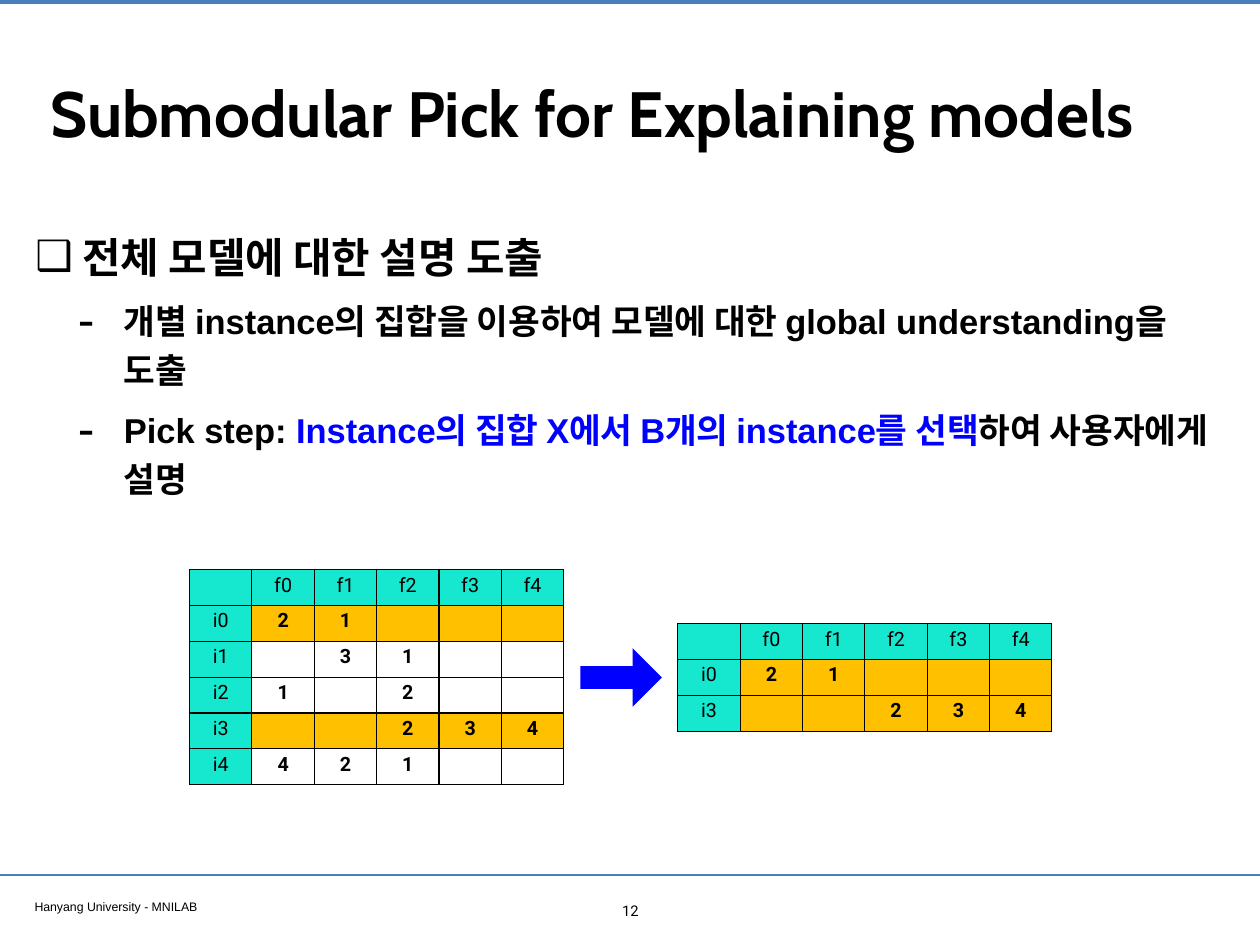
from dataclasses import dataclass

from lxml.etree import SubElement
from pptx import Presentation
from pptx.dml.color import RGBColor
from pptx.enum.shapes import MSO_CONNECTOR as Connector, MSO_SHAPE as Shape
from pptx.enum.text import MSO_ANCHOR as Anchor, MSO_AUTO_SIZE as AutoSize, PP_ALIGN as Align
from pptx.oxml.ns import qn
from pptx.util import Emu, Inches, Pt

WIDTH, HEIGHT = Inches(14.22), Inches(10.67)
COLUMN, ROW = 4.95, 3.8
BLACK, WHITE, BLUE, RULE = "000000", "FFFFFF", "0000FF", "4A7EBB"
HEADER, PICKED = "16E7CF", "FFC000"
FEATURES = ["f0", "f1", "f2", "f3", "f4"]
INSTANCES = {
    "i0": ["2", "1", "", "", ""],
    "i1": ["", "3", "1", "", ""],
    "i2": ["1", "", "2", "", ""],
    "i3": ["", "", "2", "3", "4"],
    "i4": ["4", "2", "1", "", ""],
}
PICKS = ["i0", "i3"]


@dataclass
class Area:
    """Percentages of the slide's width and height."""
    left: float
    top: float
    width: float
    height: float

    def box(self) -> tuple:
        return across(self.left), down(self.top), across(self.width), down(self.height)


@dataclass
class Point:
    phrases: list
    size: int
    indent: float
    hanging: float
    bullet: str
    bullet_scale: int = 100
    before: int = 8


@dataclass
class Matrix:
    left: float
    top: float
    instances: list


@dataclass
class Rule:
    top: float
    weight: float


POINTS = [
    Point([("전체 모델에 대한 설명 도출", BLACK)], 34, 0.53, 0.53, "❑", before=0),
    Point([("개별 instance의 집합을 이용하여 모델에 대한 global understanding을 도출", BLACK)],
          28, 1, 0.52, "-", 145),
    Point([("Pick step: ", BLACK),
           ("Instance의 집합 X에서 B개의 instance를 선택", BLUE),
           ("하여 사용자에게 설명", BLACK)], 28, 1, 0.52, "-", 145),
]
MATRICES = [Matrix(15.05, 60.26, list(INSTANCES)), Matrix(53.8, 65.98, PICKS)]
RULES = [Rule(0.19, 3.2), Rule(92.6, 2)]


def across(percent: float) -> Emu:
    return Emu(round(WIDTH * percent / 100))


def down(percent: float) -> Emu:
    return Emu(round(HEIGHT * percent / 100))


def color(value: str) -> RGBColor:
    return RGBColor.from_string(value)


def style(paragraph, size: float, face: str, bold: bool = False, align=Align.LEFT) -> None:
    paragraph.alignment = align
    font = paragraph.font
    font.size, font.name, font.bold = Pt(size), face, bold
    font.color.rgb = color(BLACK)


def prepare(frame) -> None:
    frame.word_wrap = True
    frame.auto_size = AutoSize.NONE
    frame.margin_left = frame.margin_right = Inches(0.06)
    frame.margin_top = frame.margin_bottom = Inches(0.06)


def add_title(slide, text: str, area: Area) -> None:
    title = slide.shapes.title
    title.left, title.top, title.width, title.height = area.box()
    frame = title.text_frame
    prepare(frame)
    frame.vertical_anchor = Anchor.MIDDLE
    frame.text = text
    style(frame.paragraphs[0], 52, "Cabin", True)


def add_label(slide, text: str, area: Area, size: float, face: str, align=Align.LEFT) -> None:
    frame = slide.shapes.add_textbox(*area.box()).text_frame
    prepare(frame)
    frame.text = text
    style(frame.paragraphs[0], size, face, align=align)


def add_points(slide, points: list, area: Area) -> None:
    frame = slide.shapes.add_textbox(*area.box()).text_frame
    prepare(frame)
    for index, point in enumerate(points):
        paragraph = frame.add_paragraph() if index else frame.paragraphs[0]
        paragraph.level = min(index, 1)
        paragraph.line_spacing = 1.2
        paragraph.space_before = Pt(point.before)
        properties = paragraph._p.get_or_add_pPr()
        properties.set("marL", str(Inches(point.indent)))
        properties.set("indent", str(-Inches(point.hanging)))
        SubElement(properties, qn("a:buSzPct"), val=str(point.bullet_scale * 1000))
        SubElement(properties, qn("a:buFont"), typeface="Arial")
        SubElement(properties, qn("a:buChar"), char=point.bullet)
        style(paragraph, point.size, "Arial", True)
        for text, shade in point.phrases:
            run = paragraph.add_run()
            run.text = text
            run.font.color.rgb = color(shade)


def add_borders(cell) -> None:
    properties = cell._tc.get_or_add_tcPr()
    for side in ("lnL", "lnR", "lnT", "lnB"):
        border = SubElement(properties, qn(f"a:{side}"), w=str(Pt(1)))
        fill = SubElement(border, qn("a:solidFill"))
        SubElement(fill, qn("a:srgbClr"), val=BLACK)


def add_matrix(slide, matrix: Matrix) -> None:
    rows = [["", *FEATURES]] + [[name, *INSTANCES[name]] for name in matrix.instances]
    columns = len(rows[0])
    area = Area(matrix.left, matrix.top, COLUMN * columns, ROW * len(rows))
    table = slide.shapes.add_table(len(rows), columns, *area.box()).table
    for r, values in enumerate(rows):
        for c, value in enumerate(values):
            cell = table.cell(r, c)
            heading = r == 0 or c == 0
            plain = PICKED if values[0] in PICKS else WHITE
            add_borders(cell)
            cell.fill.solid()
            cell.fill.fore_color.rgb = color(HEADER if heading else plain)
            cell.text = value
            style(cell.text_frame.paragraphs[0], 16, "Roboto", not heading, Align.CENTER)


def add_rule(slide, rule: Rule) -> None:
    line = slide.shapes.add_connector(
        Connector.STRAIGHT, 0, down(rule.top), WIDTH, down(rule.top))
    line.line.color.rgb = color(RULE)
    line.line.width = Pt(rule.weight)
    SubElement(line._element.spPr, qn("a:effectLst"))


def add_arrow(slide, area: Area) -> None:
    arrow = slide.shapes.add_shape(Shape.RIGHT_ARROW, *area.box())
    arrow.shadow.inherit = False
    arrow.adjustments[0], arrow.adjustments[1] = 0.39, 0.5
    arrow.fill.solid()
    arrow.fill.fore_color.rgb = color(BLUE)
    arrow.line.fill.background()


def main() -> None:
    deck = Presentation()
    deck.slide_width, deck.slide_height = WIDTH, HEIGHT
    slide = deck.slides.add_slide(deck.slide_layouts.get_by_name("Title Only"))
    for rule in RULES:
        add_rule(slide, rule)
    add_label(slide, "Hanyang University - MNILAB", Area(2.32, 94.56, 38.4, 2.44), 10, "Arial")
    add_title(slide, "Submodular Pick for Explaining models", Area(3.59, 2.62, 92.9, 18.46))
    add_points(slide, POINTS, Area(2.39, 22.87, 96.06, 32.8))
    add_label(slide, "12", Area(48.66, 94.85, 2.74, 2.91), 12, "Roboto", Align.CENTER)
    for matrix in MATRICES:
        add_matrix(slide, matrix)
    add_arrow(slide, Area(46.06, 68.6, 6.47, 6.19))
    deck.save("out.pptx")


if __name__ == "__main__":
    main()
